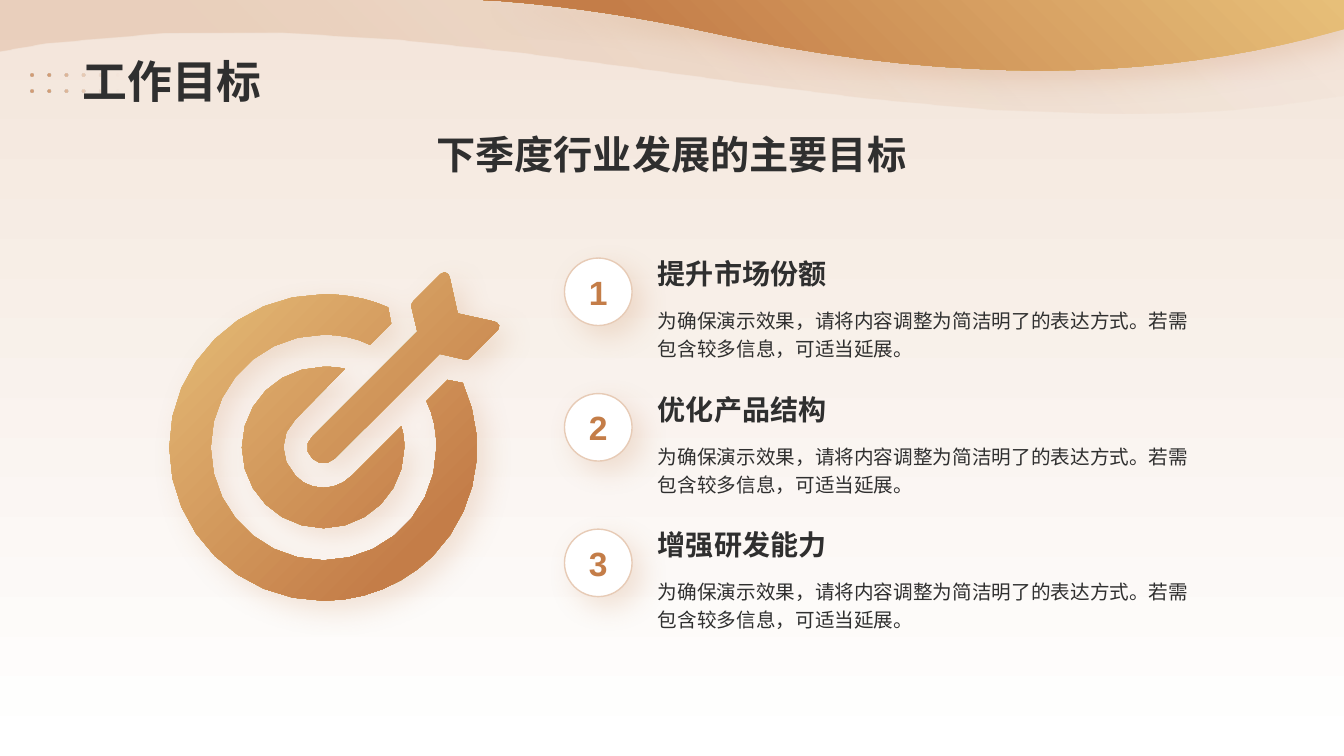
"""Build the quarterly work goals slide with a target icon and three numbered goals."""
import dataclasses
import math

import lxml.etree
import pptx
import pptx.dml.color
import pptx.enum.lang
import pptx.enum.shapes
import pptx.enum.text
import pptx.oxml.ns
import pptx.util

TITLE = "工作目标"
SUBTITLE = "下季度行业发展的主要目标"
DETAIL = "为确保演示效果，请将内容调整为简洁明了的表达方式。若需包含较多信息，可适当延展。"
GOALS = [("提升市场份额", DETAIL), ("优化产品结构", DETAIL), ("增强研发能力", DETAIL)]

PALE_WAVE = [
    (10.95, 1.12), (11.59, 1.13, 12.22, 1.1, 12.86, 1.01), (13.33, 0.94), (13.33, 0),
    (0, 0), (0, 0.51), (0.47, 0.43), (3.97, -0.04, 7.46, 1.1, 10.95, 1.12),
]
GOLD_WAVE = [
    (13.33, 0), (4.79, 0), (4.97, 0.01), (5.73, 0.07, 6.43, 0.19, 6.94, 0.3),
    (8.24, 0.59, 9.36, 0.7, 10.33, 0.7), (11.35, 0.7, 12.21, 0.57, 12.95, 0.39), (13.33, 0.29),
]
INNER_RING = [
    (3.21, 3.64), (3.28, 3.64, 3.35, 3.64, 3.42, 3.66), (2.93, 4.16),
    (2.77, 4.31, 2.77, 4.56, 2.93, 4.72), (3, 4.8, 3.1, 4.84, 3.21, 4.84),
    (3.31, 4.84, 3.41, 4.8, 3.49, 4.72), (3.98, 4.23), (4, 4.29, 4.01, 4.37, 4.01, 4.44),
    (4.01, 4.88, 3.65, 5.24, 3.21, 5.24), (2.76, 5.24, 2.4, 4.88, 2.4, 4.44),
    (2.4, 4, 2.76, 3.64, 3.21, 3.64),
]
OUTER_RING = [
    (3.21, 2.92), (3.43, 2.92, 3.65, 2.96, 3.85, 3.05), (3.88, 3.21),
    (3.67, 3.42), (3.53, 3.35, 3.37, 3.32, 3.21, 3.32), (2.59, 3.32, 2.09, 3.82, 2.09, 4.44),
    (2.09, 5.06, 2.59, 5.56, 3.21, 5.56), (3.83, 5.56, 4.33, 5.06, 4.33, 4.44),
    (4.33, 4.27, 4.3, 4.12, 4.23, 3.98), (4.44, 3.77), (4.59, 3.8),
    (4.85, 4.37, 4.75, 5.05, 4.29, 5.52), (4, 5.8, 3.62, 5.96, 3.21, 5.96),
    (2.37, 5.96, 1.68, 5.28, 1.68, 4.44), (1.68, 3.6, 2.37, 2.92, 3.21, 2.92),
]
ARROW = [
    (4.41, 2.7), (4.44, 2.71, 4.46, 2.73, 4.46, 2.75), (4.54, 3.11), (4.9, 3.19),
    (4.92, 3.19, 4.94, 3.21, 4.95, 3.23), (4.95, 3.25, 4.95, 3.27, 4.93, 3.28), (4.66, 3.55),
    (4.65, 3.56, 4.64, 3.57, 4.62, 3.57), (4.36, 3.51),
    (3.32, 4.55), (3.26, 4.61, 3.16, 4.61, 3.1, 4.55), (3.03, 4.49, 3.03, 4.39, 3.1, 4.33),
    (4.14, 3.29), (4.08, 3.04), (4.08, 3.02, 4.09, 3, 4.1, 2.99), (4.37, 2.72),
]


@dataclasses.dataclass(frozen=True)
class Theme:
    font: str = "Arial"
    ink: str = "2F2F2F"
    copper: str = "C47D48"
    gold: str = "E7BF79"
    blush: str = "DCB191"
    rim: str = "E7CBB6"
    sand: str = "F3E5DA"
    white: str = "FFFFFF"
    title: int = 32
    subtitle: int = 28
    badge: int = 24
    heading: int = 20
    detail: int = 14


THEME = Theme()
METAL = [(0, THEME.gold, 100), (80, THEME.copper, 100)]
WIDTH, HEIGHT = pptx.util.Inches(13.33), pptx.util.Inches(7.5)
GOAL_TOP, GOAL_PITCH = 32.8, 17.93
ANCHOR = pptx.enum.text.MSO_ANCHOR
CENTER = pptx.enum.text.PP_ALIGN.CENTER
rgb = pptx.dml.color.RGBColor.from_string
qn = pptx.oxml.ns.qn


def area(left, top, width, height):
    return [round(share * side / 100) for share, side in
            zip((left, top, width, height), (WIDTH, HEIGHT) * 2)]


def add_color(parent, color, alpha):
    node = lxml.etree.SubElement(parent, qn("a:srgbClr"), val=color)
    if alpha < 100:
        lxml.etree.SubElement(node, qn("a:alpha"), val=str(alpha * 1000))


def paint(owner, element, stops, angle):
    owner.fill.gradient()
    gradient = element.find(".//" + qn("a:gradFill"))
    stop_list = gradient.find(qn("a:gsLst"))
    for stop in list(stop_list):
        stop_list.remove(stop)
    for position, color, alpha in stops:
        stop = lxml.etree.SubElement(stop_list, qn("a:gs"), pos=str(position * 1000))
        add_color(stop, color, alpha)
    gradient.find(qn("a:lin")).set("ang", str(angle * 60000))


def cast_shadow(shape):
    effects = shape._element.spPr.find(qn("a:effectLst"))
    shadow = lxml.etree.SubElement(
        effects, qn("a:outerShdw"), blurRad=str(pptx.util.Pt(20)), dist=str(pptx.util.Pt(10)),
        dir=str(45 * 60000), algn="tl", rotWithShape="0")
    add_color(shadow, THEME.copper, 20)


def flatten(outline):
    points = [outline[0]]
    for segment in outline[1:]:
        if len(segment) == 2:
            points.append(segment)
            continue
        start = points[-1]
        steps = min(9, max(2, math.ceil(5 * math.sqrt(math.dist(start, segment[4:])))))
        for step in range(1, steps + 1):
            t = step / steps
            u = 1 - t
            points.append(tuple(
                u ** 3 * start[axis] + 3 * u * u * t * segment[axis]
                + 3 * u * t * t * segment[axis + 2] + t ** 3 * segment[axis + 4]
                for axis in (0, 1)))
    return points


def add_outline(page, outlines, stops, angle, shadow=False):
    contours = [[(x * 1000, y * 1000) for x, y in flatten(outline)] for outline in outlines]
    builder = page.shapes.build_freeform(*contours[0][0], scale=914.4)
    for index, contour in enumerate(contours):
        if index:
            builder.move_to(*contour[0])
        builder.add_line_segments(contour[1:], close=True)
    shape = builder.convert_to_shape()
    shape.shadow.inherit = False
    paint(shape, shape._element.spPr, stops, angle)
    shape.line.fill.background()
    if shadow:
        cast_shadow(shape)


def write(box, text, size, color=THEME.ink, bold=True, anchor=ANCHOR.TOP, align=None, spacing=None):
    frame = box.text_frame
    frame.word_wrap = True
    frame.vertical_anchor = anchor
    para = frame.paragraphs[0]
    para.alignment = align
    para.line_spacing = spacing
    span = para.add_run()
    span.text = text
    span.font.name = THEME.font
    span.font.size = pptx.util.Pt(size)
    span.font.bold = bold
    span.font.color.rgb = rgb(color)
    span.font.language_id = pptx.enum.lang.MSO_LANGUAGE_ID.SIMPLIFIED_CHINESE


def add_text(page, place, text, size, **style):
    write(page.shapes.add_textbox(*area(*place)), text, size, **style)


def add_goal(page, number, heading, detail):
    top = GOAL_TOP + (number - 1) * GOAL_PITCH
    add_text(page, (48.22, top + 6.8, 41.33, 9.47), detail, THEME.detail, bold=False, spacing=1.2)
    add_text(page, (48.22, top, 41.33, 6.27), heading, THEME.heading, anchor=ANCHOR.BOTTOM)
    badge = page.shapes.add_shape(
        pptx.enum.shapes.MSO_SHAPE.OVAL, *area(42, top + 1.33, 5.03, 8.93))
    badge.shadow.inherit = False
    badge.fill.solid()
    badge.fill.fore_color.rgb = rgb(THEME.white)
    badge.line.color.rgb = rgb(THEME.rim)
    badge.line.width = pptx.util.Pt(1)
    cast_shadow(badge)
    frame = badge.text_frame
    frame.margin_left = frame.margin_right = frame.margin_top = frame.margin_bottom = 0
    write(badge, str(number), THEME.badge, THEME.copper, anchor=ANCHOR.MIDDLE, align=CENTER)


def dot(column, row, radius=0.02, sides=6):
    x, y = 0.32 + column * 0.17, 0.75 + row * 0.15
    turns = [2 * math.pi * side / sides for side in range(sides)]
    return [(x + radius * math.cos(turn), y + radius * math.sin(turn)) for turn in turns]


def main():
    deck = pptx.Presentation()
    deck.slide_width, deck.slide_height = WIDTH, HEIGHT
    page = deck.slides.add_slide(deck.slide_layouts[6])
    paint(page.background, page._element, [(0, THEME.sand, 100), (100, THEME.white, 100)], 90)
    add_outline(page, [PALE_WAVE], [(20, THEME.copper, 20), (100, THEME.copper, 0)], 315)
    add_outline(page, [GOLD_WAVE], METAL, 135, shadow=True)
    dots = [dot(column, row) for row in range(2) for column in range(6)]
    add_outline(page, dots, [(20, THEME.copper, 70), (100, THEME.blush, 0)], 0)
    add_text(page, (5.4, 1.87, 89.1, 13.07), TITLE, THEME.title, anchor=ANCHOR.BOTTOM)
    add_outline(page, [INNER_RING, OUTER_RING, ARROW], METAL, 45, shadow=True)
    for number, (heading, detail) in enumerate(GOALS, 1):
        add_goal(page, number, heading, detail)
    add_text(page, (5.4, 16.53, 89.1, 12.4), SUBTITLE, THEME.subtitle, align=CENTER)
    deck.save("out.pptx")


if __name__ == "__main__":
    main()
